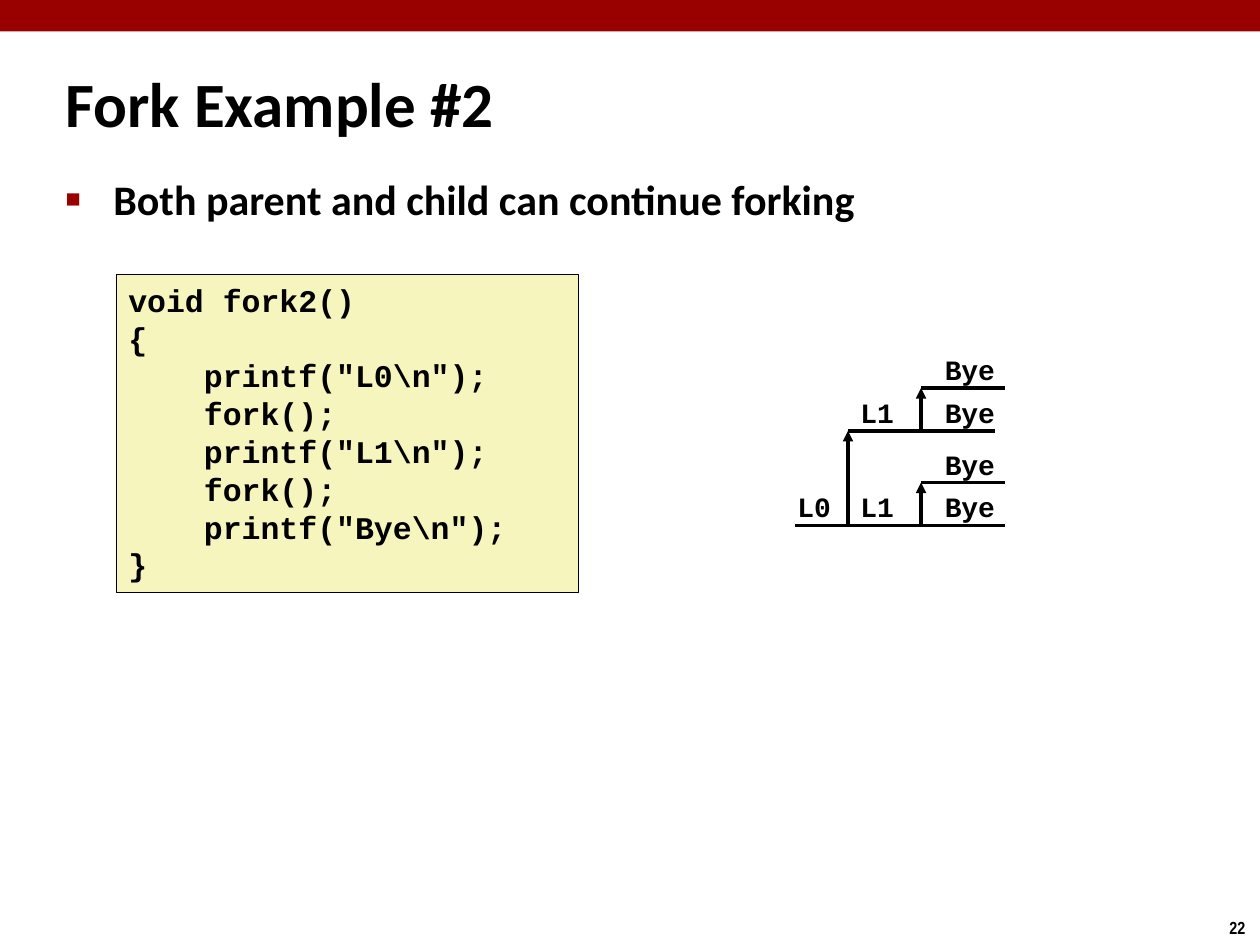
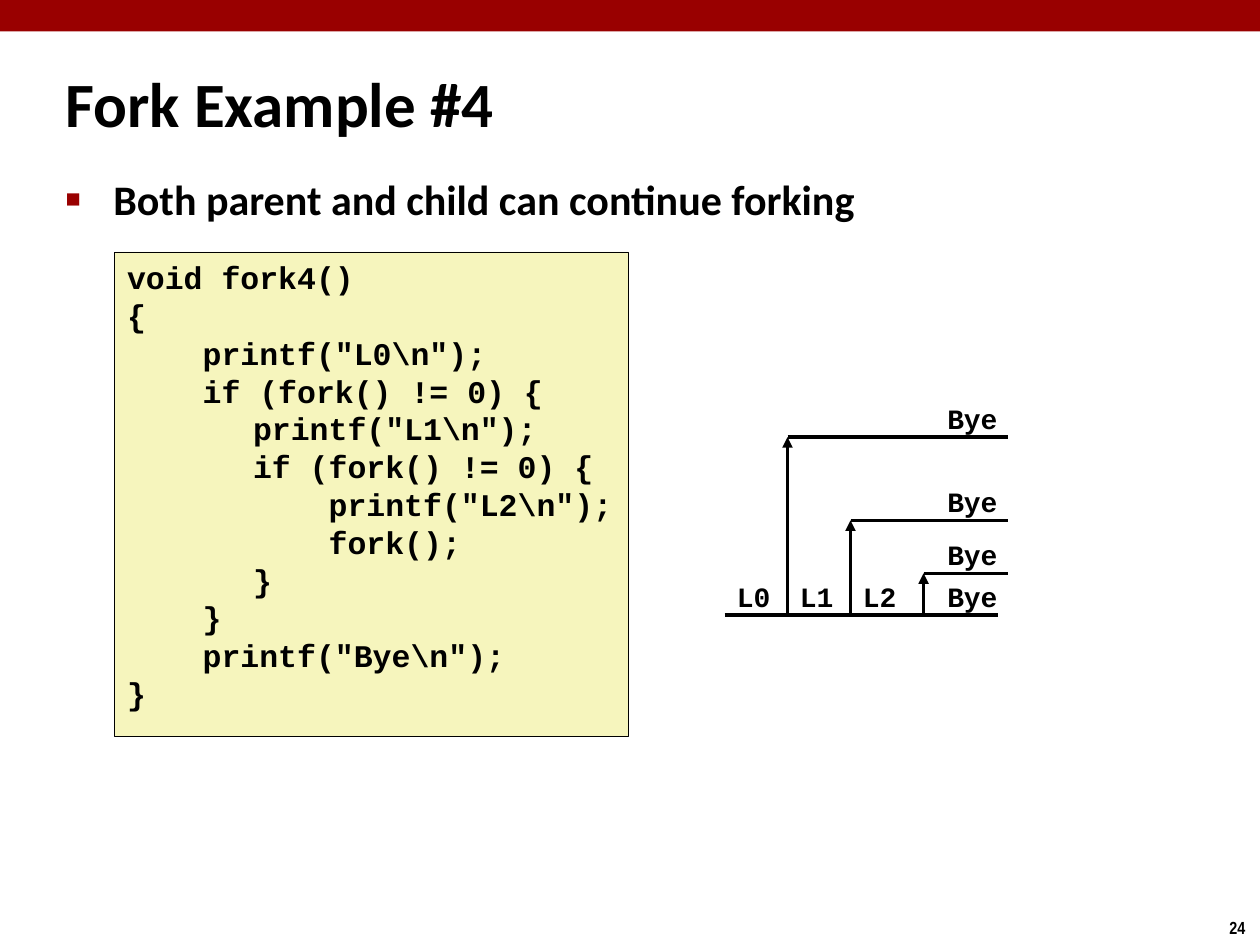
from lxml import etree
from pptx import Presentation
from pptx.dml.color import RGBColor
from pptx.enum.shapes import MSO_CONNECTOR, MSO_SHAPE
from pptx.enum.text import MSO_ANCHOR, MSO_AUTO_SIZE, PP_ALIGN
from pptx.oxml.ns import qn
from pptx.util import Inches, Pt

RECT = MSO_SHAPE.RECTANGLE
STRAIGHT = MSO_CONNECTOR.STRAIGHT
TOP, MIDDLE = MSO_ANCHOR.TOP, MSO_ANCHOR.MIDDLE
LEFT = PP_ALIGN.LEFT
NO_FIT = MSO_AUTO_SIZE.NONE

RED, CREAM, BLACK = "990000", "F6F5BD", "000000"
HEADING, CODE, NUMBER = "Calibri", "Courier New", "Arial Narrow"
LABEL_RISE = 0.33
BYE_X = 0.09

FORK2 = [
    "void fork2()",
    "{",
    '    printf("L0\\n");',
    "    fork();",
    '    printf("L1\\n");',
    "    fork();",
    '    printf("Bye\\n");',
    "}",
]
FORK4 = [
    "void fork4()",
    "{",
    '    printf("L0\\n");',
    "    if (fork() != 0) {",
    '\tprintf("L1\\n");',
    "\tif (fork() != 0) {",
    '\t    printf("L2\\n");',
    "\t    fork();",
    "\t}",
    "    }",
    '    printf("Bye\\n");',
    "}",
]


def rgb(value):
    return RGBColor.from_string(value)


def sub(parent, tag, **attrs):
    return etree.SubElement(parent, qn(tag), attrs)


def write(p, text, font=CODE, size=18, color=BLACK, bold=True):
    p.alignment = LEFT
    p.space_before = Pt(0)
    r = p.add_run()
    r.text = text
    r.font.name = font
    r.font.size = Pt(size)
    r.font.bold = bold
    r.font.color.rgb = rgb(color)


class Deck:
    """Holds the lecture style and the current slide."""

    def __init__(self):
        self.prs = Presentation()
        self.prs.slide_width = Inches(10)
        self.prs.slide_height = Inches(7.5)
        self.s = None

    def slide(self, title, point, number):
        self.s = self.prs.slides.add_slide(self.prs.slide_layouts[1])
        self.box(0, 0, 10, 0.25, RED)
        self.text(number, 9.66, 7.23, 0.34, 0.27, font=NUMBER, size=10)
        p = self.placeholder(0, 0.42, 0.5, 5.57, 0.63, MIDDLE)
        write(p, title, font=HEADING, size=36)
        p = self.placeholder(1, 0.42, 1.33, 8.64, 0.84, TOP)
        self.bullet(p)
        write(p, point, font=HEADING, size=24)

    def placeholder(self, index, x, y, w, h, anchor):
        sp = self.s.placeholders[index]
        sp.left, sp.top, sp.width, sp.height = map(Inches, (x, y, w, h))
        tf = sp.text_frame
        tf.auto_size = NO_FIT
        tf.vertical_anchor = anchor
        return tf.paragraphs[0]

    def bullet(self, p):
        pPr = p._p.get_or_add_pPr()
        pPr.set("marL", str(Inches(0.38)))
        pPr.set("indent", str(-Inches(0.38)))
        sub(sub(pPr, "a:buClr"), "a:srgbClr", val=RED)
        sub(pPr, "a:buSzPct", val="60000")
        sub(pPr, "a:buFont", typeface="Arial")
        sub(pPr, "a:buChar", char="■")

    def box(self, x, y, w, h, fill, line=None):
        sp = self.s.shapes.add_shape(RECT, *map(Inches, (x, y, w, h)))
        sp.shadow.inherit = False
        sp.fill.solid()
        sp.fill.fore_color.rgb = rgb(fill)
        if line:
            sp.line.color.rgb = rgb(line)
            sp.line.width = Pt(0.25)
        else:
            sp.line.fill.background()
        return sp

    def text(self, text, x, y, w, h, **style):
        tf = self.s.shapes.add_textbox(*map(Inches, (x, y, w, h))).text_frame
        tf.word_wrap = False
        write(tf.paragraphs[0], text, **style)

    def code(self, lines, x, y, w, h):
        tf = self.box(x, y, w, h, CREAM, BLACK).text_frame
        tf.word_wrap = True
        tf.vertical_anchor = TOP
        for i, line in enumerate(lines):
            p = tf.add_paragraph() if i else tf.paragraphs[0]
            tabs = sub(p._p.get_or_add_pPr(), "a:tabLst")
            sub(tabs, "a:tab", pos=str(Inches(1)), algn="l")
            write(p, line)

    def line(self, x1, y1, x2, y2, arrow=False):
        c = self.s.shapes.add_connector(STRAIGHT, *map(Inches, (x1, y1, x2, y2)))
        c.line.color.rgb = rgb(BLACK)
        c.line.width = Pt(2)
        if arrow:
            sub(c.line._get_or_add_ln(), "a:tailEnd", type="triangle")
        sub(c._element.spPr, "a:effectLst")

    def process(self, y, *steps):
        for x1, x2, label, shift in steps:
            self.line(x1, y, x2, y)
            width = 0.6 if label == "Bye" else 0.47
            self.text(label, x1 + shift, y - LABEL_RISE, width, 0.37, size=16)

    def fork(self, x, parent_y, child_y):
        self.line(x, parent_y, x, child_y, arrow=True)


def main():
    deck = Deck()
    point = "Both parent and child can continue forking"

    deck.slide("Fork Example #2", point, "22")
    deck.code(FORK2, 0.92, 2.18, 3.67, 2.52)
    start, first, second, end = 6.31, 6.73, 7.31, 7.98
    deck.process(4.17, (start, first, "L0", -0.08))
    deck.fork(first, 4.17, 3.42)
    for y, child_y, stop in ((4.17, 3.83, end), (3.42, 3.08, 7.9)):
        deck.process(y, (first, second, "L1", 0), (second, stop, "Bye", BYE_X))
        deck.fork(second, y, child_y)
        deck.process(child_y, (second, end, "Bye", BYE_X))

    deck.slide("Fork Example #4", point, "24")
    deck.code(FORK4, 0.91, 2, 4.08, 3.84)
    start, first, second, third, end = 5.75, 6.25, 6.75, 7.33, 8
    deck.process(
        4.88,
        (start, first, "L0", 0),
        (first, second, "L1", 0),
        (second, third, "L2", 0),
        (third, 7.92, "Bye", BYE_X),
    )
    for x, child_y in ((first, 3.47), (second, 4.13), (third, 4.55)):
        deck.fork(x, 4.88, child_y)
        deck.process(child_y, (x, end, "Bye", third + BYE_X - x))

    deck.prs.save("out.pptx")


if __name__ == "__main__":
    main()
